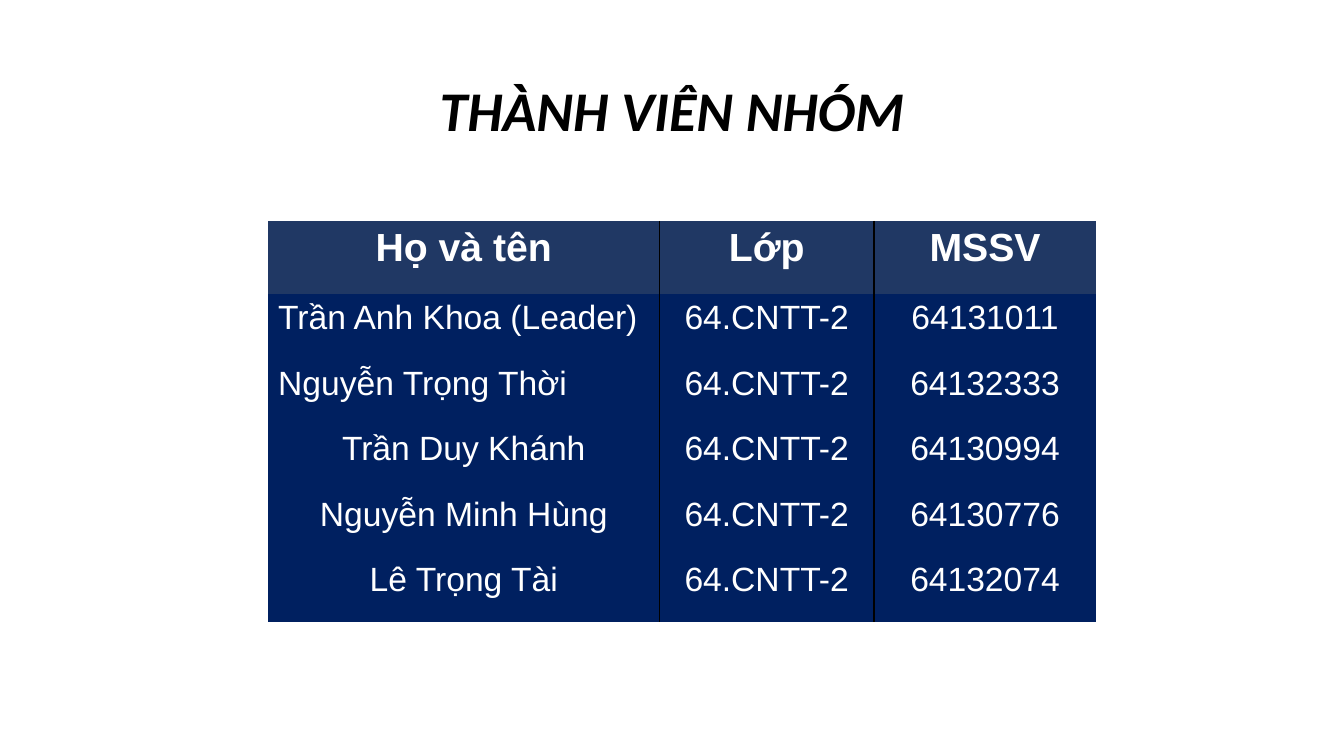
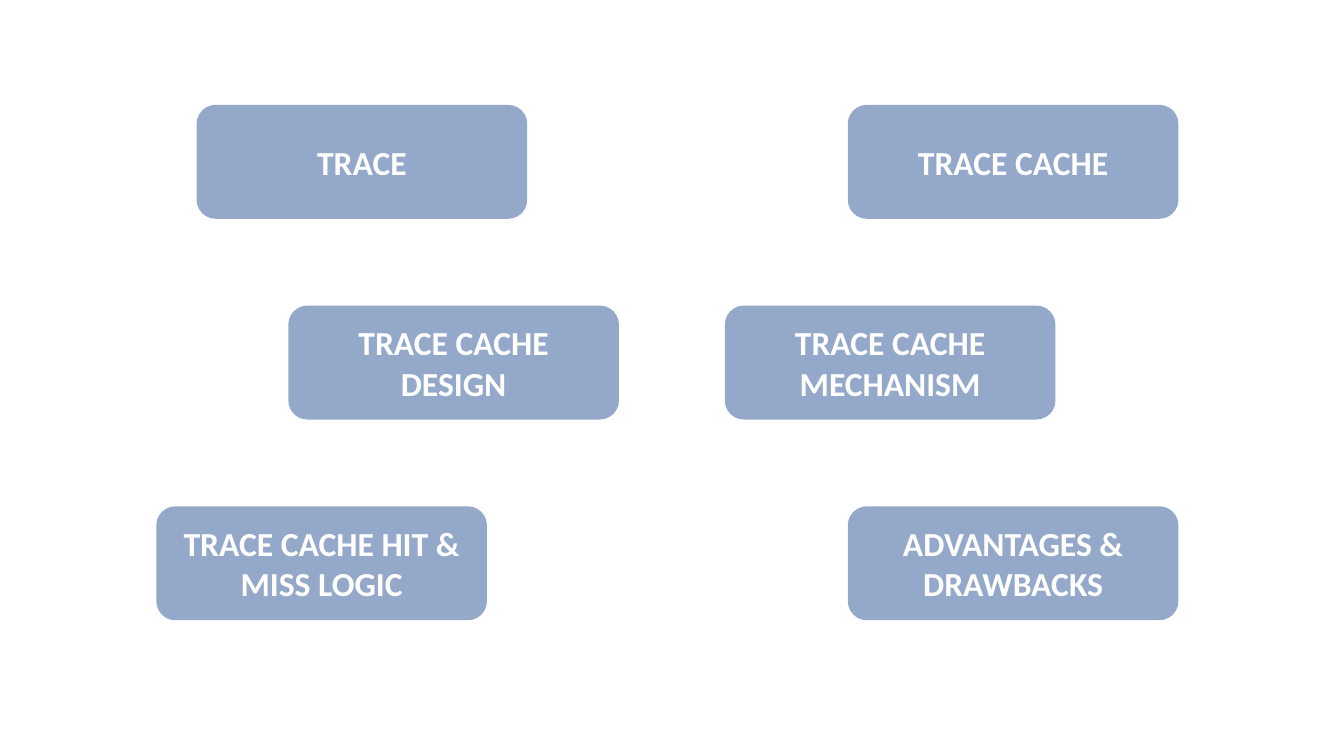
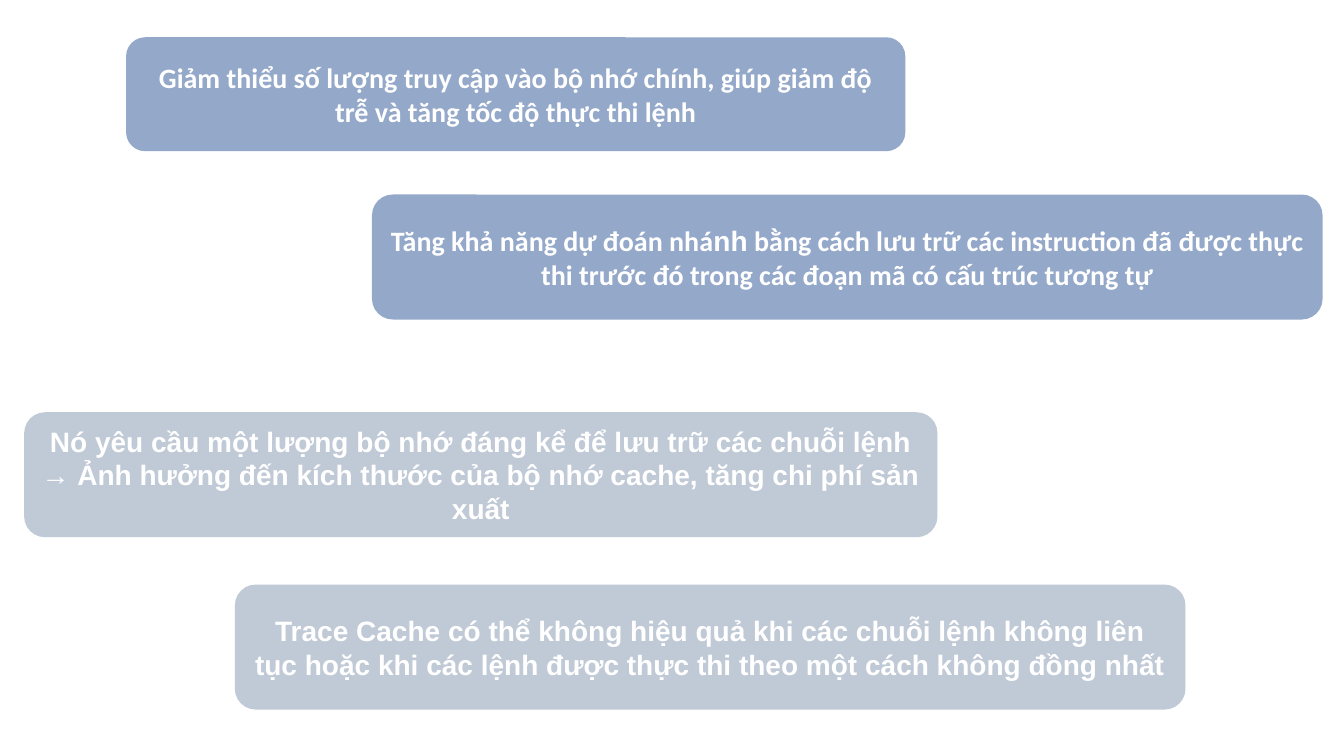
from itertools import cycle

from lxml.etree import SubElement
from pptx import Presentation
from pptx.dml.color import RGBColor
from pptx.enum.shapes import MSO_SHAPE as SHAPE
from pptx.enum.text import MSO_ANCHOR as ANCHOR, MSO_AUTO_SIZE as AUTO_SIZE, PP_ALIGN as ALIGN
from pptx.oxml import parse_xml
from pptx.oxml.ns import nsdecls, qn
from pptx.util import Inches, Pt

COLORS = {
    "ink": "000000",
    "paper": "FFFFFF",
    "header": "203864",
    "row": "002060",
    "blue": "2F5597",
    "gray": "8497B0",
}
WIDTH, HEIGHT = Inches(13.33), Inches(7.5)
TITLE_LAYOUT, BLANK_LAYOUT = 5, 6
NO_STYLE = "{2D5ABB26-0587-4C30-8999-92F81FD0307C}"
OPACITY = 51

MEMBERS = [
    ("Trần Anh Khoa (Leader)", "64.CNTT-2", "64131011"),
    ("Nguyễn Trọng Thời", "64.CNTT-2", "64132333"),
    ("Trần Duy Khánh", "64.CNTT-2", "64130994"),
    ("Nguyễn Minh Hùng", "64.CNTT-2", "64130776"),
    ("Lê Trọng Tài", "64.CNTT-2", "64132074"),
]
LEFT_ALIGNED_ROWS = (1, 2)

TOPIC_ROWS = [
    ((14.63, "TRACE"), (63.08, "TRACE CACHE")),
    ((21.45, "TRACE CACHE DESIGN"), (53.93, "TRACE CACHE MECHANISM")),
    ((11.63, "TRACE CACHE HIT & MISS LOGIC"), (63.08, "ADVANTAGES & DRAWBACKS")),
]

POINTS = [
    ((9.38, 4.93, 57.98, 15.07), "blue", ("Calibri",),
     ("Giảm thiểu số lượng truy cập vào bộ nhớ chính, giúp giảm độ trễ và tăng tốc độ thực thi lệnh",)),
    ((27.68, 25.73, 70.73, 16.53), "blue", ("Calibri", "Arial"),
     ("Tăng khả năng dự đoán nhá", "nh",
      " bằng cách lưu trữ các instruction đã được thực thi trước đó trong các đoạn mã có cấu trúc tương tự")),
    ((1.8, 54.53, 67.95, 16.53), "gray", ("Arial",),
     ("Nó yêu cầu một lượng bộ nhớ đáng kể để lưu trữ các chuỗi lệnh\v"
      "→ Ảnh hưởng đến kích thước của bộ nhớ cache, tăng chi phí sản xuất",)),
    ((17.48, 77.33, 70.73, 16.53), "gray", ("Arial",),
     ("Trace Cache có thể không hiệu quả khi các chuỗi lệnh không liên tục hoặc khi các lệnh "
      "được thực thi theo một cách không đồng nhất",)),
]


def color(name):
    return RGBColor.from_string(COLORS[name])


def percent_box(left, top, width, height):
    return [int(size * share / 100) for size, share in
            zip((WIDTH, HEIGHT, WIDTH, HEIGHT), (left, top, width, height))]


def write(frame, spans, fonts, size, ink="paper", bold=True, italic=None, align=ALIGN.CENTER):
    para = frame.paragraphs[0]
    para.text = spans[0]
    for text in spans[1:]:
        para.add_run().text = text
    para.alignment = align
    for span, name in zip(para.runs, cycle(fonts)):
        font = span.font
        font.name, font.size = name, Pt(size)
        font.bold, font.italic = bold, italic
        font.color.rgb = color(ink)


def line_xml(tag, ink, points):
    return parse_xml(
        f'<a:{tag} {nsdecls("a")} w="{Pt(points)}"><a:solidFill>'
        f'<a:srgbClr val="{COLORS[ink]}"/></a:solidFill></a:{tag}>')


def add_title(page, box, text):
    title = page.shapes.title
    title.left, title.top, title.width, title.height = box
    frame = title.text_frame
    frame.word_wrap = True
    frame.auto_size = AUTO_SIZE.SHAPE_TO_FIT_TEXT
    frame.vertical_anchor = ANCHOR.TOP
    write(frame, (text,), ("Calibri",), 40, ink="ink", italic=True)
    for span in frame.paragraphs[0].runs:
        span.font._element.insert(0, line_xml("ln", "paper", 0.75))


def add_member_table(page, box, headings, members):
    records = [headings, *members]
    table = page.shapes.add_table(len(records), len(headings), *box).table
    table._tbl.tblPr.find(qn("a:tableStyleId")).text = NO_STYLE
    table.first_row = table.horz_banding = False
    for column, width in zip(table.columns, (3.88, 2.13, 2.2)):
        column.width = Inches(width)
    for row_index, record in enumerate(records):
        is_header = row_index == 0
        table.rows[row_index].height = Inches(0.73 if is_header else 0.65)
        for column_index, text in enumerate(record):
            cell = table.cell(row_index, column_index)
            is_left = column_index == 0 and row_index in LEFT_ALIGNED_ROWS
            write(cell.text_frame, (text,), ("Arial",), 28 if is_header else 24,
                  bold=is_header, align=ALIGN.LEFT if is_left else ALIGN.CENTER)
            cell.fill.solid()
            cell.fill.fore_color.rgb = color("header" if is_header else "row")
            properties = cell._tc.get_or_add_tcPr()
            if column_index < len(record) - 1:
                properties.insert(0, line_xml("lnR", "ink", 1))
            if column_index > 0:
                properties.insert(0, line_xml("lnL", "ink", 1))


def add_card(page, box, fill, spans, fonts, size):
    card = page.shapes.add_shape(SHAPE.ROUNDED_RECTANGLE, *box)
    card.shadow.inherit = False
    card.line.fill.background()
    card.fill.solid()
    card.fill.fore_color.rgb = color(fill)
    tint = card._element.spPr.find(".//" + qn("a:srgbClr"))
    SubElement(tint, qn("a:alpha")).set("val", str(OPACITY * 1000))
    frame = card.text_frame
    frame.word_wrap = True
    frame.vertical_anchor = ANCHOR.MIDDLE
    write(frame, spans, fonts, size)


def add_members_page(deck):
    page = deck.slides.add_slide(deck.slide_layouts[TITLE_LAYOUT])
    add_title(page, percent_box(19.95, 9.33, 60.08, 10.27), "THÀNH VIÊN NHÓM")
    add_member_table(page, percent_box(19.95, 29.2, 61.58, 52.93),
                     ("Họ và tên", "Lớp", "MSSV"), MEMBERS)


def add_topics_page(deck):
    page = deck.slides.add_slide(deck.slide_layouts[BLANK_LAYOUT])
    first_top, row_step = 13.87, 26.55
    for row_index, topics in enumerate(TOPIC_ROWS):
        for left, text in topics:
            box = percent_box(left, first_top + row_index * row_step, 24.6, 15.07)
            add_card(page, box, "blue", (text,), ("Calibri",), 24)


def add_points_page(deck):
    page = deck.slides.add_slide(deck.slide_layouts[BLANK_LAYOUT])
    for shares, fill, fonts, spans in POINTS:
        add_card(page, percent_box(*shares), fill, spans, fonts, 20)


def main():
    deck = Presentation()
    deck.slide_width, deck.slide_height = WIDTH, HEIGHT
    add_members_page(deck)
    add_topics_page(deck)
    add_points_page(deck)
    deck.save("out.pptx")


if __name__ == "__main__":
    main()
